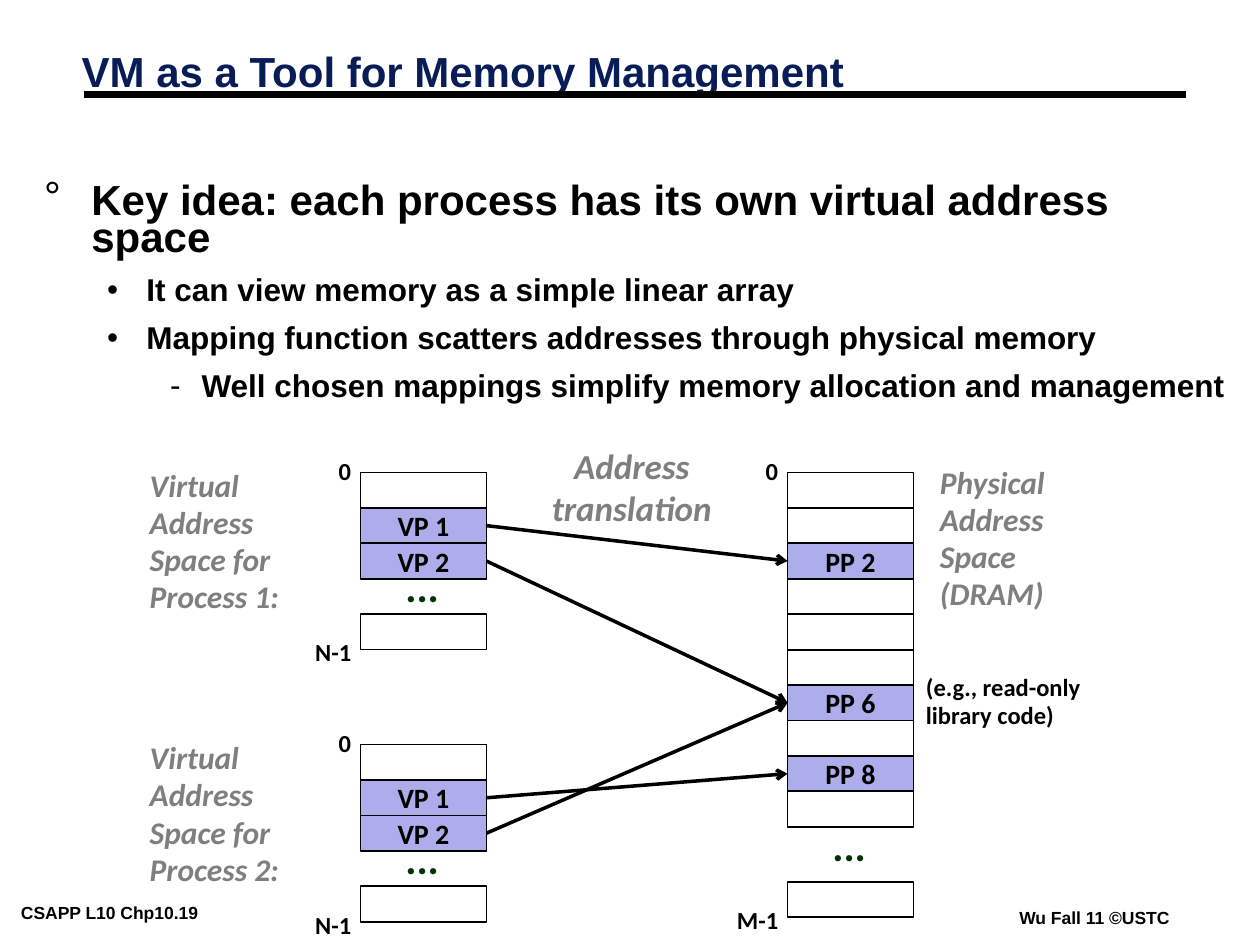
from dataclasses import dataclass

from lxml import etree
from pptx import Presentation
from pptx.dml.color import RGBColor
from pptx.enum.shapes import MSO_CONNECTOR, MSO_SHAPE
from pptx.enum.text import MSO_ANCHOR, MSO_AUTO_SIZE, PP_ALIGN
from pptx.oxml.ns import qn
from pptx.util import Pt

LEFT, CENTER = PP_ALIGN.LEFT, PP_ALIGN.CENTER
TOP, MIDDLE = MSO_ANCHOR.TOP, MSO_ANCHOR.MIDDLE
NO_FIT = MSO_AUTO_SIZE.NONE
RECTANGLE, STRAIGHT = MSO_SHAPE.RECTANGLE, MSO_CONNECTOR.STRAIGHT


@dataclass(frozen=True)
class Style:
    font: str
    size: float
    color: str
    italic: bool = False
    spacing: float = 0.98


@dataclass(frozen=True)
class Theme:
    ink: str = "000000"
    mapped: str = "ADADEB"
    title: Style = Style("Arial", 24, "081D58", spacing=0.87)
    lead: Style = Style("Arial", 24, "000000", spacing=0.75)
    point: Style = Style("Arial", 18, "000000", spacing=0.85)
    footer: Style = Style("Arial", 10, "000000", spacing=1)
    caption: Style = Style("Calibri", 18, "7F7F7F", italic=True)
    heading: Style = Style("Calibri", 20, "7F7F7F", italic=True, spacing=1)
    label: Style = Style("Calibri", 14, "000000")
    cell: Style = Style("Calibri", 16, "000000", spacing=1)
    dots: Style = Style("Calibri", 24, "003300", spacing=0.88)


THEME = Theme()

# Content
TITLE = "VM as a Tool for Memory Management"
POINTS = [
    (0, "Key idea: each process has its own virtual address space"),
    (1, "It can view memory as a simple linear array"),
    (1, "Mapping function scatters addresses through physical memory"),
    (2, "Well chosen mappings simplify memory allocation and management"),
]
# Per level: bullet, text indent, hanging indent, space before, style
LEVELS = [
    ("°", 27, 27, 19.5, THEME.lead),
    ("•", 58.5, 22.5, 9, THEME.point),
    ("-", 90, 18, 9, THEME.point),
]
FOOTERS = [
    ("CSAPP L10 Chp10.19", (7, 513.5, 151, 16)),
    ("Wu Fall 11 ©USTC", (577.5, 516.5, 99.5, 16)),
]
# Address spaces: position, named rows, row count, last row and dots offsets, last label and width
PROCESS = dict(left=206, names={1: "VP 1", 2: "VP 2"}, count=3,
               last=81, dots=50.5, end="N-1", end_width=35)
SPACES = {
    "process 1": dict(PROCESS, top=270),
    "process 2": dict(PROCESS, top=425.5),
    "physical": dict(left=450, top=270, names={2: "PP 2", 6: "PP 6", 8: "PP 8"},
                     count=10, last=234, dots=198.5, end="M-1", end_width=38),
}
MAPPINGS = [
    ("process 1", 1, 2),
    ("process 1", 2, 6),
    ("process 2", 2, 6),
    ("process 2", 1, 8),
]
CAPTIONS = [
    (["Virtual Address Space for Process 1:"], (78.5, 264, 108, 91.5), THEME.caption, LEFT),
    (["Virtual Address Space for Process 2:"], (78.5, 419.5, 108, 91.5), THEME.caption, LEFT),
    (["Physical", "Address", "Space (DRAM)"], (530, 262, 84, 91.5), THEME.caption, LEFT),
    (["(e.g., read-only", "library code)"], (522, 381, 114.5, 39.5), THEME.label, LEFT),
    (["Address", "translation"], (308, 250.5, 106, 55.5), THEME.heading, CENTER),
]
CELL_WIDTH, ROW = 72, 20.25


def place(shape, area):
    shape.left, shape.top, shape.width, shape.height = (Pt(value) for value in area)


def write(para, text, style, align=LEFT, before=0):
    para.alignment = align
    para.line_spacing = style.spacing
    para.space_before = Pt(before)
    span = para.add_run()
    span.text = text
    font = span.font
    font.name, font.size = style.font, Pt(style.size)
    font.bold, font.italic = True, style.italic
    font.color.rgb = RGBColor.from_string(style.color)


def set_frame(frame, margins=(7.2, 3.6), anchor=TOP, wrap=True):
    frame.auto_size = NO_FIT
    frame.word_wrap = wrap
    frame.vertical_anchor = anchor
    frame.margin_left = frame.margin_right = Pt(margins[0])
    frame.margin_top = frame.margin_bottom = Pt(margins[1])
    return frame


def add_text(page, lines, area, style, align=LEFT, wrap=True, margins=(7.2, 3.6)):
    box = page.shapes.add_textbox(*(Pt(value) for value in area))
    frame = set_frame(box.text_frame, margins, wrap=wrap)
    for index, line in enumerate(lines):
        para = frame.add_paragraph() if index else frame.paragraphs[0]
        write(para, line, style, align)


def add_line(page, start, end, width, arrow=False):
    line = page.shapes.add_connector(STRAIGHT, *(Pt(value) for value in start + end))
    line.line.color.rgb = RGBColor.from_string(THEME.ink)
    line.line.width = Pt(width)
    if arrow:
        etree.SubElement(line.line._get_or_add_ln(), qn("a:tailEnd"), type="arrow")
    etree.SubElement(line._element.spPr, qn("a:effectLst"))


def add_bullet(para, character, indent, hanging):
    properties = para._p.get_or_add_pPr()
    properties.set("marL", str(Pt(indent)))
    properties.set("indent", str(-Pt(hanging)))
    color = etree.SubElement(properties, qn("a:buClr"))
    etree.SubElement(color, qn("a:srgbClr"), val=THEME.ink)
    etree.SubElement(properties, qn("a:buFont"), typeface="Arial")
    etree.SubElement(properties, qn("a:buChar"), char=character)


def add_cell(page, left, top, name):
    cell = page.shapes.add_shape(RECTANGLE, Pt(left), Pt(top), Pt(CELL_WIDTH), Pt(ROW))
    cell.shadow.inherit = False
    cell.line.color.rgb = RGBColor.from_string(THEME.ink)
    cell.line.width = Pt(1)
    if name:
        cell.fill.solid()
        cell.fill.fore_color.rgb = RGBColor.from_string(THEME.mapped)
        frame = set_frame(cell.text_frame, anchor=MIDDLE)
        write(frame.paragraphs[0], name, THEME.cell, CENTER)
    else:
        cell.fill.background()


def add_space(page, space):
    left, top = space["left"], space["top"]
    for row in range(space["count"]):
        add_cell(page, left, top + row * ROW, space["names"].get(row))
    add_cell(page, left, top + space["last"], None)
    add_text(page, ["..."], (left + 18.5, top + space["dots"], 34, 32.5), THEME.dots, wrap=False)
    # First and last address, ending just inside the column edge
    for text, width, label_top in (("0", 21.5, top - 12),
                                   (space["end"], space["end_width"], top + space["last"] + 10.5)):
        add_text(page, [text], (left + 2 - width, label_top, width, 24), THEME.label, wrap=False)


def row_middle(space, row):
    return space["top"] + (row + 0.5) * ROW


def main():
    deck = Presentation()
    deck.slide_width, deck.slide_height = Pt(720), Pt(540)
    page = deck.slides.add_slide(deck.slide_layouts[1])

    # Footer and title rule
    for text, area in FOOTERS:
        add_text(page, [text], area, THEME.footer, margins=(5, 2))
    add_line(page, (48, 54), (678, 54), 4.5)

    # Title and key points
    title, body = page.shapes.title, page.placeholders[1]
    place(title, (39.5, 26, 678, 32.5))
    write(set_frame(title.text_frame, anchor=MIDDLE).paragraphs[0], TITLE, THEME.title)
    place(body, (18, 102, 690, 150))
    frame = set_frame(body.text_frame)
    for index, (level, text) in enumerate(POINTS):
        para = frame.add_paragraph() if index else frame.paragraphs[0]
        character, indent, hanging, before, style = LEVELS[level]
        para.level = level
        add_bullet(para, character, indent, hanging)
        write(para, text, style, before=before if index else 0)

    # Address spaces, mappings and captions
    for space in SPACES.values():
        add_space(page, space)
    physical = SPACES["physical"]
    for name, source, target in MAPPINGS:
        space = SPACES[name]
        add_line(page, (space["left"] + CELL_WIDTH, row_middle(space, source)),
                 (physical["left"], row_middle(physical, target)), 2, arrow=True)
    for lines, area, style, align in CAPTIONS:
        add_text(page, lines, area, style, align, wrap=align == LEFT)

    deck.save("out.pptx")


if __name__ == "__main__":
    main()
